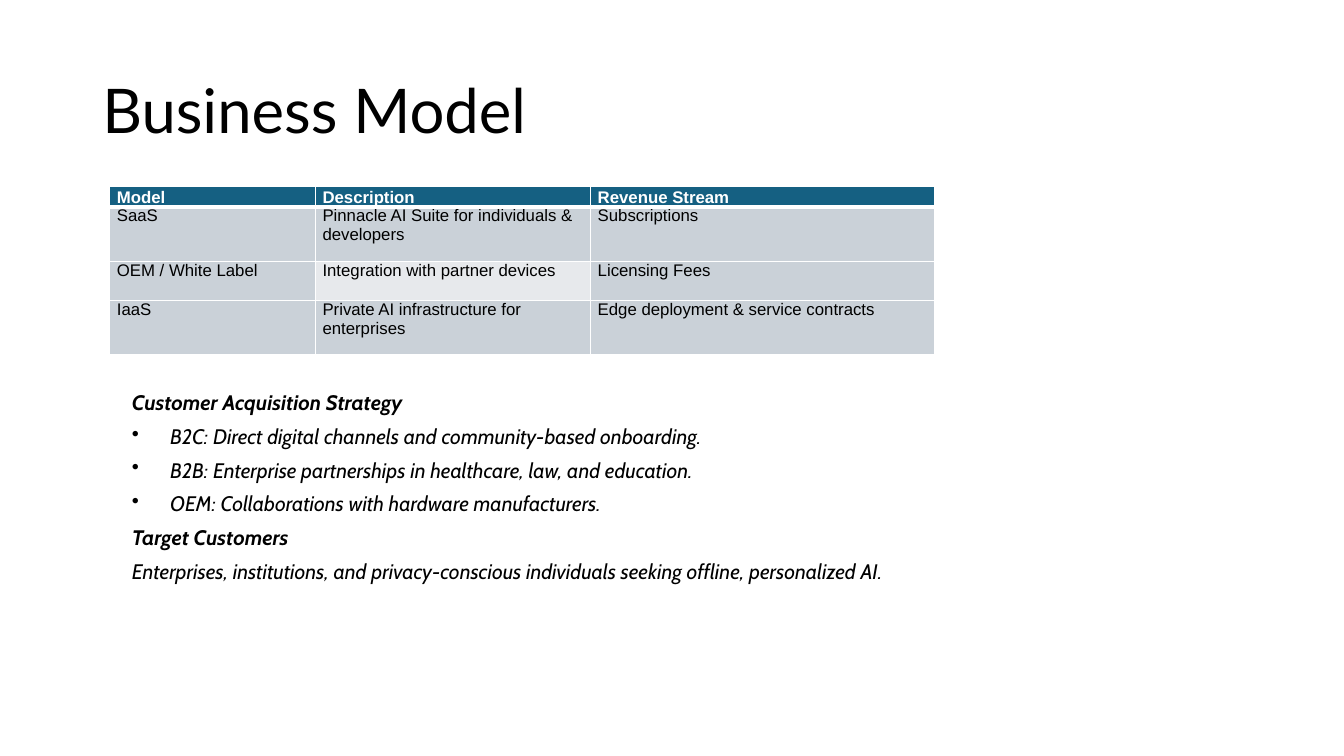
from dataclasses import dataclass

from lxml.etree import SubElement
from pptx import Presentation
from pptx.dml.color import RGBColor
from pptx.enum.text import MSO_VERTICAL_ANCHOR as Anchor
from pptx.oxml.ns import qn
from pptx.util import Pt

BLACK, WHITE = "000000", "FFFFFF"
HEADER_FILL, CELL_FILL, LIGHT_FILL = "156082", "CAD1D8", "E7E9EC"
LIGHT_CELL = (2, 1)

COLUMN_WIDTHS = [146.9, 196.6, 245.5]
ROW_HEIGHTS = [7.2, 38.9, 28.1, 38.9]
ROWS = [
    ["Model", "Description", "Revenue Stream"],
    ["SaaS", "Pinnacle AI Suite for individuals & developers", "Subscriptions"],
    ["OEM / White Label", "Integration with partner devices", "Licensing Fees"],
    ["IaaS", "Private AI infrastructure for enterprises",
     "Edge deployment & service contracts"],
]


@dataclass
class Line:
    text: str
    bold: bool = False
    bullet: bool = False


STRATEGY = [
    Line("Customer Acquisition Strategy", bold=True),
    Line("B2C: Direct digital channels and community-based onboarding.", bullet=True),
    Line("B2B: Enterprise partnerships in healthcare, law, and education.", bullet=True),
    Line("OEM: Collaborations with hardware manufacturers.", bullet=True),
    Line("Target Customers", bold=True),
    Line("Enterprises, institutions, and privacy-conscious individuals "
         "seeking offline, personalized AI."),
]


def rgb(value: str) -> RGBColor:
    return RGBColor.from_string(value)


def set_attributes(target, values: dict) -> None:
    for name, value in values.items():
        setattr(target, name, value)


def add_run(p, text: str, color: str = BLACK, **font) -> None:
    r = p.add_run()
    r.text = text
    set_attributes(r.font, font)
    r.font.color.rgb = rgb(color)


def add_text_frame(slide, left: float, top: float, width: float, height: float,
                   anchor: Anchor):
    sp = slide.shapes.add_textbox(Pt(left), Pt(top), Pt(width), Pt(height))
    tf = sp.text_frame
    set_attributes(tf, dict(word_wrap=True, vertical_anchor=anchor))
    return tf


def set_hanging_indent(p, bullet: bool) -> None:
    pPr = p._p.get_or_add_pPr()
    pPr.set("marL", str(Pt(36)))
    pPr.set("indent", str(-Pt(27.36)))
    if bullet:
        SubElement(pPr, qn("a:buChar"), char="•")


def set_borders(cell, widths: dict[str, float]) -> None:
    """Draw white borders; call before the cell gets its fill."""
    tcPr = cell._tc.get_or_add_tcPr()
    for side, width in widths.items():
        ln = SubElement(tcPr, qn(f"a:ln{side}"), w=str(Pt(width)))
        fill = SubElement(ln, qn("a:solidFill"))
        SubElement(fill, qn("a:srgbClr"), val=WHITE)


def add_title(slide) -> None:
    tf = add_text_frame(slide, 66, 28.8, 828, 104.4, Anchor.MIDDLE)
    p = tf.paragraphs[0]
    p.line_spacing = 0.9
    add_run(p, "Business Model", name="Lato", size=Pt(44))


def add_model_table(slide) -> None:
    table = slide.shapes.add_table(
        len(ROWS), len(COLUMN_WIDTHS), Pt(78.5), Pt(133.2),
        Pt(sum(COLUMN_WIDTHS)), Pt(sum(ROW_HEIGHTS))).table
    table.horz_banding = False
    for column, width in zip(table.columns, COLUMN_WIDTHS):
        column.width = Pt(width)
    for i, (height, texts) in enumerate(zip(ROW_HEIGHTS, ROWS)):
        table.rows[i].height = Pt(height)
        header = i == 0
        for j, text in enumerate(texts):
            cell = table.cell(i, j)
            set_attributes(cell, dict(
                margin_left=Pt(5), margin_right=Pt(5), margin_top=0, margin_bottom=0,
                vertical_anchor=Anchor.BOTTOM if header else Anchor.TOP))
            set_borders(cell, dict(L=1, R=1, T=3 if i == 1 else 1, B=3 if header else 1))
            body_fill = LIGHT_FILL if (i, j) == LIGHT_CELL else CELL_FILL
            cell.fill.solid()
            cell.fill.fore_color.rgb = rgb(HEADER_FILL if header else body_fill)
            p = cell.text_frame.paragraphs[0]
            set_attributes(p, dict(space_before=Pt(1.8), space_after=Pt(1.8)))
            add_run(p, text, WHITE if header else BLACK,
                    name="Arial", size=Pt(12), bold=header)


def add_strategy(slide) -> None:
    tf = add_text_frame(slide, 78.5, 275, 739.4, 236.2, Anchor.TOP)
    for i, line in enumerate(STRATEGY):
        p = tf.add_paragraph() if i else tf.paragraphs[0]
        set_attributes(p, dict(space_before=Pt(4), space_after=Pt(2)))
        set_hanging_indent(p, line.bullet)
        add_run(p, line.text, name="Cabin", size=Pt(15), bold=line.bold, italic=True)


def main() -> None:
    prs = Presentation()
    set_attributes(prs, dict(slide_width=Pt(960), slide_height=Pt(540)))
    slide = prs.slides.add_slide(prs.slide_layouts[6])
    add_title(slide)
    add_strategy(slide)
    add_model_table(slide)
    prs.save("out.pptx")


if __name__ == "__main__":
    main()
